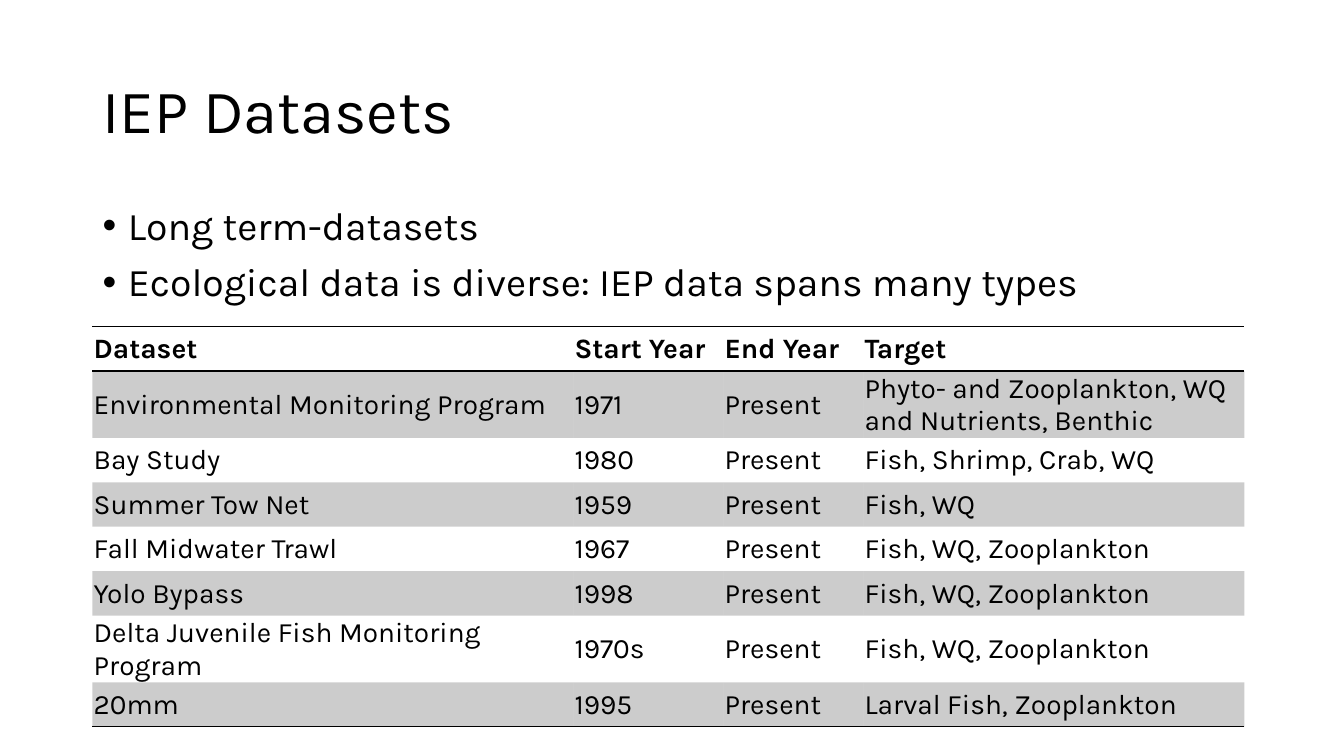
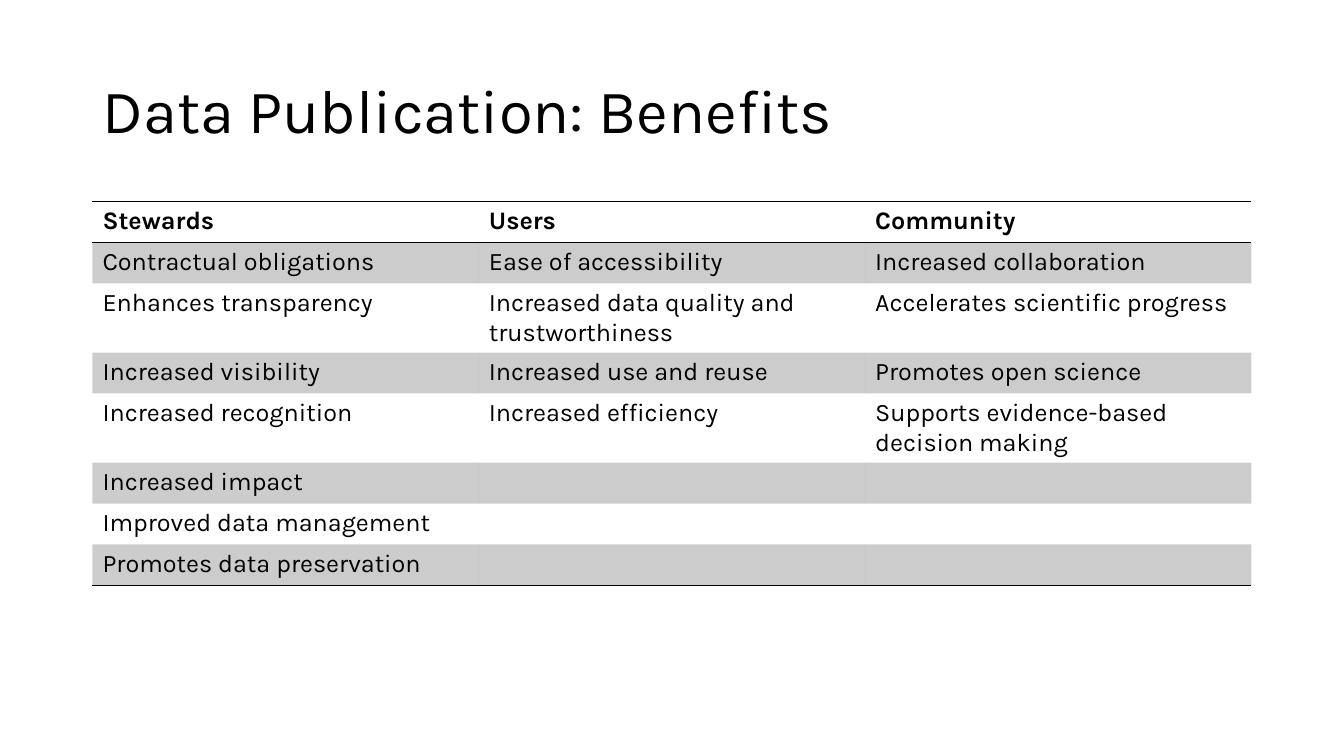
"""Build two slides on ecological datasets and the benefits of data publication."""
import dataclasses

import lxml.etree
import pptx
import pptx.dml.color
import pptx.enum.text
import pptx.oxml.ns
import pptx.util

Cm = pptx.util.Cm
Pt = pptx.util.Pt
qn = pptx.oxml.ns.qn


@dataclasses.dataclass(frozen=True)
class Theme:
    font: str = "Karla"
    ink: str = "000000"
    band_opacity: int = 20
    title_size: int = 44
    body_size: int = 28
    dataset_size: int = 20
    benefit_size: int = 18
    rule_width: int = 1
    line_spacing: float = 0.9
    left: float = 2.33
    width: float = 29.21
    title_top: float = 1.01
    title_height: float = 3.68
    body_top: float = 5.08
    body_height: float = 12.09
    no_grid_style: str = "{2D5ABB26-0587-4C30-8999-92F81FD0307C}"


theme = Theme()
ink = pptx.dml.color.RGBColor.from_string(theme.ink)


def format_text(tf, size, bold=False):
    for p in tf.paragraphs:
        for r in p.runs:
            r.font.name = theme.font
            r.font.size = Pt(size)
            r.font.bold = bold
            r.font.color.rgb = ink


def add_banded_table(s, top, col_widths, row_height, rows, size):
    frame = s.shapes.add_table(
        len(rows), len(col_widths), Cm(theme.left), Cm(top),
        Cm(sum(col_widths)), Cm(row_height * len(rows)))
    table = frame.table
    table.first_row = table.horz_banding = False
    table._tbl.tblPr.find(qn("a:tableStyleId")).text = theme.no_grid_style
    for column, width in zip(table.columns, col_widths):
        column.width = Cm(width)
    for i, row in enumerate(rows):
        table.rows[i].height = Cm(row_height)
        edges = {0: ("a:lnT", "a:lnB"), len(rows) - 1: ("a:lnB",)}.get(i, ())
        for j, text in enumerate(row):
            cell = table.cell(i, j)
            cell.text_frame.text = text
            format_text(cell.text_frame, size, bold=i == 0)
            tc_pr = cell._tc.get_or_add_tcPr()
            for edge in edges:
                ln = lxml.etree.SubElement(tc_pr, qn(edge), w=str(Pt(theme.rule_width)))
                fill = lxml.etree.SubElement(ln, qn("a:solidFill"))
                lxml.etree.SubElement(fill, qn("a:srgbClr"), val=theme.ink)
            if i % 2:
                cell.fill.solid()
                cell.fill.fore_color.rgb = ink
                color = tc_pr.find(qn("a:solidFill")).find(qn("a:srgbClr"))
                lxml.etree.SubElement(
                    color, qn("a:alpha"), val=str(theme.band_opacity * 1000))
            else:
                cell.fill.background()
    return table


prs = pptx.Presentation()
prs.slide_width, prs.slide_height = Cm(33.87), Cm(19.05)

slides = []
for title, layout in (("IEP Datasets", 1), ("Data Publication: Benefits", 5)):
    s = prs.slides.add_slide(prs.slide_layouts[layout])
    sp = s.shapes.title
    sp.left, sp.top = Cm(theme.left), Cm(theme.title_top)
    sp.width, sp.height = Cm(theme.width), Cm(theme.title_height)
    tf = sp.text_frame
    tf.text = title
    tf.auto_size = pptx.enum.text.MSO_AUTO_SIZE.NONE
    tf.vertical_anchor = pptx.enum.text.MSO_ANCHOR.MIDDLE
    tf.paragraphs[0].alignment = pptx.enum.text.PP_ALIGN.LEFT
    tf.paragraphs[0].line_spacing = theme.line_spacing
    format_text(tf, theme.title_size)
    slides.append(s)
datasets_slide, benefits_slide = slides

sp = datasets_slide.placeholders[1]
sp.left, sp.top = Cm(theme.left), Cm(theme.body_top)
sp.width, sp.height = Cm(theme.width), Cm(theme.body_height)
tf = sp.text_frame
tf.text = "Long term-datasets\nEcological data is diverse: IEP data spans many types"
tf.auto_size = pptx.enum.text.MSO_AUTO_SIZE.NONE
for i, p in enumerate(tf.paragraphs):
    p_pr = p._p.get_or_add_pPr()
    p_pr.set("marL", str(Cm(0.64)))
    p_pr.set("indent", str(-Cm(0.64)))
    lxml.etree.SubElement(p_pr, qn("a:buFont"), typeface="Arial")
    lxml.etree.SubElement(p_pr, qn("a:buChar"), char="•")
    p.line_spacing = theme.line_spacing
    p.space_before = Pt(10 if i else 0)
format_text(tf, theme.body_size)

datasets = [
    ("Dataset", "Start Year", "End Year", "Target"),
    ("Environmental Monitoring Program", "1971", "Present",
     "Phyto- and Zooplankton, WQ and Nutrients, Benthic"),
    ("Bay Study", "1980", "Present", "Fish, Shrimp, Crab, WQ"),
    ("Summer Tow Net", "1959", "Present", "Fish, WQ"),
    ("Fall Midwater Trawl", "1967", "Present", "Fish, WQ, Zooplankton"),
    ("Yolo Bypass", "1998", "Present", "Fish, WQ, Zooplankton"),
    ("Delta Juvenile Fish Monitoring Program", "1970s", "Present",
     "Fish, WQ, Zooplankton"),
    ("20mm", "1995", "Present", "Larval Fish, Zooplankton"),
]
table = add_banded_table(
    datasets_slide, 8.23, (12.12, 3.78, 3.53, 9.6), 1.12, datasets, theme.dataset_size)
for cell in table.iter_cells():
    cell.vertical_anchor = pptx.enum.text.MSO_ANCHOR.MIDDLE
    cell.margin_left = cell.margin_top = cell.margin_right = Cm(0.03)
    cell.margin_bottom = 0

benefits = [
    ("Stewards", "Users", "Community"),
    ("Contractual obligations", "Ease of accessibility", "Increased collaboration"),
    ("Enhances transparency", "Increased data quality and trustworthiness",
     "Accelerates scientific progress"),
    ("Increased visibility", "Increased use and reuse", "Promotes open science"),
    ("Increased recognition", "Increased efficiency",
     "Supports evidence-based decision making"),
    ("Increased impact", "", ""),
    ("Improved data management", "", ""),
    ("Promotes data preservation", "", ""),
]
add_banded_table(
    benefits_slide, theme.body_top, [theme.width / 3] * 3, 1.03, benefits,
    theme.benefit_size)

prs.save("out.pptx")
